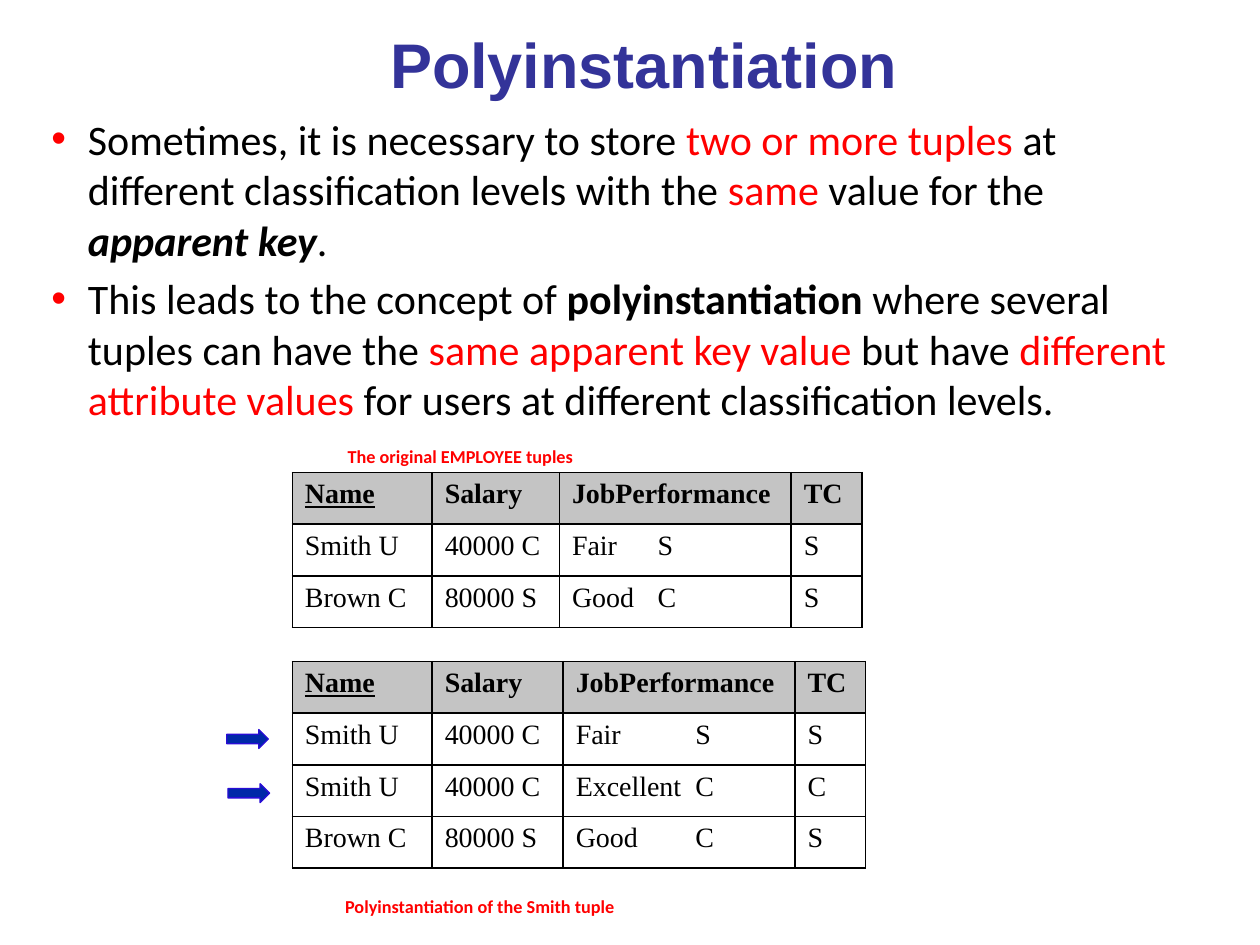
from lxml.etree import SubElement
from pptx import Presentation
from pptx.dml.color import RGBColor
from pptx.enum.shapes import MSO_SHAPE
from pptx.enum.text import MSO_ANCHOR, PP_ALIGN
from pptx.oxml.ns import qn
from pptx.util import Inches, Pt

RED = RGBColor(0xFF, 0, 0)
BLACK = RGBColor(0, 0, 0)
TITLE = RGBColor(0x33, 0x33, 0x99)
GREY = RGBColor(0xC4, 0xC4, 0xC4)
ARROW = RGBColor(0, 0x28, 0xA8)
EDGE = RGBColor(0x29, 0x0C, 0xD6)

HEAD = ["Name", "Salary", "JobPerformance", "TC"]
SMITH = ["Smith U", "40000 C", "Fair\tS", "S"]
EXTRA = ["Smith U", "40000 C", "Excellent\tC", "C"]
BROWN = ["Brown C", "80000 S", "Good\tC", "S"]

BULLETS = [
    [("Sometimes, it is necessary to store ", ""),
     ("two or more tuples ", "red"),
     ("at different classification levels with the ", ""),
     ("same", "red"),
     (" value for the ", ""),
     ("apparent key", "bold italic"),
     (".", "")],
    [("This leads to the concept of ", ""),
     ("polyinstantiation", "bold"),
     (" where several tuples can have the ", ""),
     ("same apparent key value ", "red"),
     ("but have ", ""),
     ("different attribute values", "red"),
     (" for users at different classification levels.", "")],
]


def style(font, name, size, color, bold=False):
    font.name = name
    font.size = Pt(size)
    font.color.rgb = color
    font.bold = bold


def add_box(slide, left, top, width, height):
    box = slide.shapes.add_textbox(
        Inches(left), Inches(top), Inches(width), Inches(height))
    box.text_frame.word_wrap = True
    return box.text_frame


def add_title(slide, text):
    frame = add_box(slide, 0.31, 0.02, 9.6, 0.97)
    frame.vertical_anchor = MSO_ANCHOR.MIDDLE
    frame.text = text
    para = frame.paragraphs[0]
    para.alignment = PP_ALIGN.CENTER
    style(para.runs[0].font, "Arial", 36, TITLE, True)


def set_bullet(para):
    props = para._p.get_or_add_pPr()
    props.set("marL", str(Inches(0.29)))
    props.set("indent", str(-Inches(0.29)))
    color = SubElement(props, qn("a:buClr"))
    SubElement(color, qn("a:srgbClr"), val=str(RED))
    SubElement(props, qn("a:buFont"), typeface="Arial")
    SubElement(props, qn("a:buChar"), char="•")


def add_bullets(slide, items):
    frame = add_box(slide, 0.31, 0.85, 9.27, 2.3)
    for index, parts in enumerate(items):
        para = frame.add_paragraph() if index else frame.paragraphs[0]
        set_bullet(para)
        if index:
            para.space_before = Pt(4.8)
        for text, look in parts:
            run = para.add_run()
            run.text = text
            color = RED if "red" in look else BLACK
            style(run.font, "Calibri", 24, color, "bold" in look)
            run.font.italic = "italic" in look


def add_caption(slide, text, left, top):
    frame = add_box(slide, left, top, 4.15, 0.4)
    frame.text = text
    run = frame.paragraphs[0].runs[0]
    style(run.font, "Calibri", 18, RED, True)
    run._r.get_or_add_rPr().set("baseline", "-25000")


def set_border(cell):
    props = cell._tc.get_or_add_tcPr()
    for side in ("lnL", "lnR", "lnT", "lnB"):
        line = SubElement(props, qn(f"a:{side}"), w=str(Pt(1)))
        fill = SubElement(line, qn("a:solidFill"))
        SubElement(fill, qn("a:srgbClr"), val=str(BLACK))


def set_tab(para, place):
    tabs = SubElement(para._p.get_or_add_pPr(), qn("a:tabLst"))
    SubElement(tabs, qn("a:tab"), pos=str(Inches(place)), algn="l")


def add_grid(slide, top, widths, rows, tab):
    high = 0.41
    table = slide.shapes.add_table(
        len(rows), len(widths), Inches(2.32), Inches(top),
        Inches(sum(widths)), Inches(high * len(rows))).table
    table.horz_banding = False
    table.first_row = False
    for column, width in zip(table.columns, widths):
        column.width = Inches(width)
    for r, row in enumerate(rows):
        table.rows[r].height = Inches(high)
        for c, text in enumerate(row):
            cell = table.cell(r, c)
            set_border(cell)
            if r == 0:
                cell.fill.solid()
                cell.fill.fore_color.rgb = GREY
            else:
                cell.fill.background()
            cell.text_frame.text = text
            para = cell.text_frame.paragraphs[0]
            if "\t" in text:
                set_tab(para, tab)
            font = para.runs[0].font
            style(font, "Times New Roman", 16, BLACK, r == 0)
            font.underline = r == 0 and c == 0


def add_arrow(slide, left, top):
    arrow = slide.shapes.add_shape(
        MSO_SHAPE.RIGHT_ARROW, Inches(left), Inches(top),
        Inches(0.33), Inches(0.15))
    arrow.shadow.inherit = False
    arrow.fill.solid()
    arrow.fill.fore_color.rgb = ARROW
    arrow.line.color.rgb = EDGE
    arrow.line.width = Pt(0.75)


def main():
    deck = Presentation()
    deck.slide_width = Inches(10)
    deck.slide_height = Inches(7.5)
    slide = deck.slides.add_slide(deck.slide_layouts[6])
    add_title(slide, "Polyinstantiation")
    add_bullets(slide, BULLETS)
    add_grid(slide, 5.25, [1.11, 1.04, 1.84, 0.56],
             [HEAD, SMITH, EXTRA, BROWN], 0.95)
    add_grid(slide, 3.75, [1.11, 1.01, 1.84, 0.56],
             [HEAD, SMITH, BROWN], 0.68)
    add_caption(slide, "The original EMPLOYEE tuples", 2.66, 3.32)
    add_caption(slide, "Polyinstantiation of the Smith tuple", 2.64, 6.89)
    add_arrow(slide, 1.81, 6.22)
    add_arrow(slide, 1.8, 5.79)
    deck.save("out.pptx")


if __name__ == "__main__":
    main()
